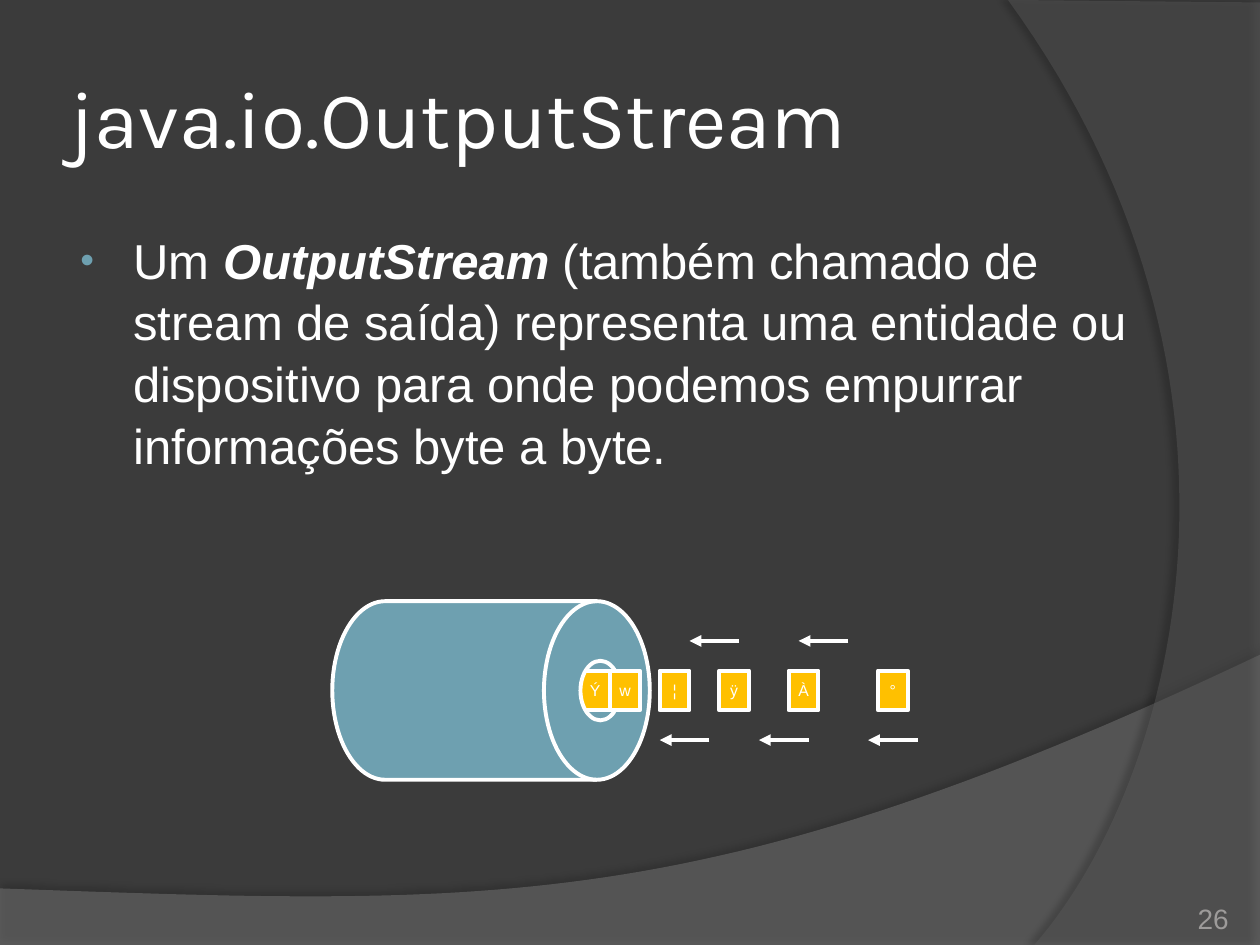
from collections import namedtuple

from lxml.etree import SubElement
from pptx import Presentation
from pptx.dml.color import RGBColor
from pptx.enum.shapes import MSO_CONNECTOR, MSO_SHAPE
from pptx.enum.text import MSO_ANCHOR, PP_ALIGN
from pptx.oxml.ns import qn
from pptx.util import Cm, Pt

BACKGROUND = RGBColor(0x3B, 0x3B, 0x3B)
LOWER_WAVE = RGBColor(0x7F, 0x7F, 0x7F)
SIDE_WAVE = RGBColor(0x5E, 0x5E, 0x5E)
WHITE = RGBColor(0xFF, 0xFF, 0xFF)
TEAL = RGBColor(0x6E, 0xA0, 0xB0)
AMBER = RGBColor(0xFF, 0xC0, 0x00)
GREY = RGBColor(0x9D, 0x9B, 0x9A)

Box = namedtuple("Box", "left top width height")
LINE_WIDTH = Pt(2.25)
CURVE_STEPS = 60


def place(box, left, top, width, height):
    return Cm(box.left + left), Cm(box.top + top), Cm(width), Cm(height)


def add_xml(parent, tag, **attributes):
    return SubElement(parent, qn(tag), {key: str(value) for key, value in attributes.items()})


def add_span(para, text, size=28, font="Arial", color=WHITE, bold=False, italic=False):
    span = para.add_run()
    span.text = text
    span.font.size = Pt(size)
    span.font.name = font
    span.font.color.rgb = color
    span.font.bold = bold
    span.font.italic = italic
    return span


def format_frame(frame, margin_x=0.25, margin_y=0.13, anchor=MSO_ANCHOR.TOP):
    frame.word_wrap = True
    frame.margin_left = frame.margin_right = Cm(margin_x)
    frame.margin_top = frame.margin_bottom = Cm(margin_y)
    frame.vertical_anchor = anchor
    return frame.paragraphs[0]


def curve_points(start, first, second, end):
    for step in range(1, CURVE_STEPS + 1):
        t = step / CURVE_STEPS
        weights = ((1 - t) ** 3, 3 * t * (1 - t) ** 2, 3 * t**2 * (1 - t), t**3)
        yield tuple(
            Cm(sum(weight * value for weight, value in zip(weights, axis)))
            for axis in zip(start, first, second, end)
        )


def add_wave(page, corners, curve, color, opacity, shadow_opacity, distance, direction):
    points = [(Cm(x), Cm(y)) for x, y in corners] + list(curve_points(corners[-1], *curve))
    builder = page.shapes.build_freeform(*points[0])
    builder.add_line_segments(points[1:], close=True)
    wave = builder.convert_to_shape()
    wave.fill.solid()
    wave.fill.fore_color.rgb = color
    wave.line.fill.background()
    wave.shadow.inherit = False
    properties = wave.element.spPr
    add_xml(properties.find(".//" + qn("a:srgbClr")), "a:alpha", val=opacity * 1000)
    shadow = add_xml(properties.find(qn("a:effectLst")), "a:outerShdw", blurRad=Pt(4),
                     dist=Pt(distance), dir=direction * 60000, algn="ctr", rotWithShape=0)
    shade = add_xml(shadow, "a:srgbClr", val="000000")
    add_xml(shade, "a:alpha", val=shadow_opacity * 1000)


def add_backdrop(page, box):
    page.background.fill.solid()
    page.background.fill.fore_color.rgb = BACKGROUND
    right, bottom = box.left + box.width, box.top + box.height
    add_wave(page, [(box.left, 17.91), (box.left, bottom), (right, bottom), (right, 13.2)],
             [(14.2, 18.52), (9.93, 18.26), (box.left, 17.91)],
             LOWER_WAVE, 45, 35, 3.5, 270)
    add_wave(page, [(right, box.top + 0.05), (right, bottom), (20.85, bottom)],
             [(23.75, 15.72), (25.86, 7.62), (20.32, box.top)],
             SIDE_WAVE, 40, 45, 4, 180)


def add_title(page, box):
    title = page.shapes.title
    page.shapes.element.append(title.element)
    title.left, title.top, title.width, title.height = place(box, 0, 0, box.width, box.height)
    para = format_frame(title.text_frame, margin_x=0.13, anchor=MSO_ANCHOR.MIDDLE)
    para.alignment = PP_ALIGN.LEFT
    add_span(para, "java.io.OutputStream", size=46, font="Karla")


def add_body(page, box):
    body = page.shapes.add_textbox(*place(box, 0, 0, box.width, box.height))
    para = format_frame(body.text_frame)
    para.line_spacing = 1.05
    properties = para._p.get_or_add_pPr()
    properties.set("marL", str(Cm(1.17)))
    properties.set("indent", str(-Cm(1.07)))
    add_xml(add_xml(properties, "a:buClr"), "a:srgbClr", val=TEAL)
    add_xml(properties, "a:buSzPct", val=80000)
    add_xml(properties, "a:buFont", typeface="Arial")
    add_xml(properties, "a:buChar", char="•")
    add_span(para, "Um ")
    add_span(para, "OutputStream", bold=True, italic=True)
    add_span(para, " (também chamado de stream de saída) representa uma entidade ou "
                   "dispositivo para onde podemos empurrar informações byte a byte.")


def add_page_number(page, box):
    number = page.shapes.add_textbox(*place(box, 0, 0, box.width, box.height))
    para = format_frame(number.text_frame, margin_x=0, margin_y=0, anchor=MSO_ANCHOR.BOTTOM)
    para.alignment = PP_ALIGN.RIGHT
    add_span(para, "26", size=16, color=GREY)


def add_part(shapes, kind, position, fill=None, outlined=True):
    part = shapes.add_shape(kind, *position)
    part.shadow.inherit = False
    if fill is None:
        part.fill.background()
    else:
        part.fill.solid()
        part.fill.fore_color.rgb = fill
    if outlined:
        part.line.color.rgb = WHITE
        part.line.width = LINE_WIDTH
    else:
        part.line.fill.background()
    return part


def add_arrow(shapes, box, left, top, length=1):
    y = Cm(box.top + top)
    arrow = shapes.add_connector(MSO_CONNECTOR.STRAIGHT, Cm(box.left + left + length), y,
                                 Cm(box.left + left), y)
    arrow.line.color.rgb = WHITE
    arrow.line.width = LINE_WIDTH
    add_xml(arrow.line._get_or_add_ln(), "a:tailEnd", type="triangle")
    add_xml(arrow.element.spPr, "a:effectLst")


def add_stream_diagram(page, box):
    shapes = page.shapes.add_group_shape().shapes
    add_part(shapes, MSO_SHAPE.FLOWCHART_DIRECT_ACCESS_STORAGE,
             place(box, 0, 0, 6.4, box.height), TEAL)
    for letter, left in zip("Ýw¦ÿÀ°", (5, 5.6, 6.6, 7.8, 9.2, 11)):
        byte = add_part(shapes, MSO_SHAPE.RECTANGLE, place(box, left, 1.4, 0.6, 0.8), AMBER)
        para = format_frame(byte.text_frame, margin_x=0, anchor=MSO_ANCHOR.MIDDLE)
        para.alignment = PP_ALIGN.CENTER
        add_span(para, letter, size=9)
    rim = add_part(shapes, MSO_SHAPE.BLOCK_ARC, place(box, 4.4, 1, 2, 1.6), TEAL, outlined=False)
    rim.rotation = 270
    opening = add_part(shapes, MSO_SHAPE.ARC, place(box, 5, 1.2, 0.8, 1.2))
    opening.rotation = 180
    opening.adjustments[0] = 141.42
    opening.adjustments[1] = 75.39
    for top, lefts in ((0.8, (7.2, 9.4)), (2.8, (6.6, 8.6, 10.8))):
        for left in lefts:
            add_arrow(shapes, box, left, top)


def main():
    deck = Presentation()
    deck.slide_width, deck.slide_height = Cm(25.4), Cm(19.05)
    page = deck.slides.add_slide(deck.slide_layouts[5])
    add_backdrop(page, Box(0, 0, 25.4, 19.05))
    add_title(page, Box(1.27, 0.76, 20.75, 3.18))
    add_body(page, Box(1.27, 4.45, 22.83, 3.28))
    add_page_number(page, Box(22.66, 17.83, 2.11, 1.02))
    add_stream_diagram(page, Box(6.7, 12.12, 11.8, 3.6))
    deck.save("out.pptx")


if __name__ == "__main__":
    main()
